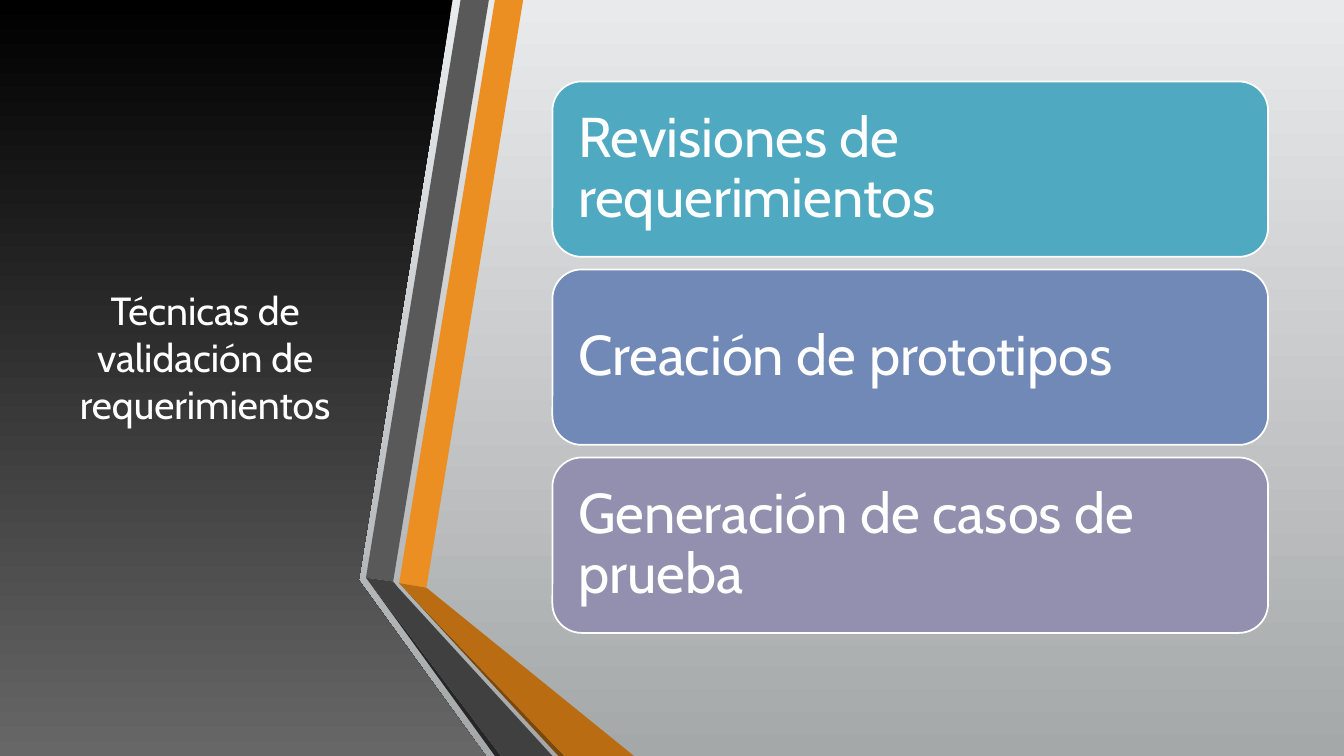
from pptx import Presentation
from pptx.dml.color import RGBColor
from pptx.enum.shapes import MSO_SHAPE as Shape
from pptx.enum.text import MSO_ANCHOR as Anchor, MSO_AUTO_SIZE as AutoSize, PP_ALIGN as Align
from pptx.util import Pt

WIDTH, HEIGHT = 960, 540


def color(hex_string):
    return RGBColor.from_string(hex_string)


def fill_gradient(fill, top, bottom):
    fill.gradient()
    fill.gradient_angle = 270
    for stop, shade in zip(fill.gradient_stops, (top, bottom)):
        stop.color.rgb = color(shade)


class SlideBuilder:
    font = "Cabin"
    text_color = "FFFFFF"

    def __init__(self, slide):
        self.slide = slide

    def background(self, top, bottom):
        fill_gradient(self.slide.background.fill, top, bottom)

    def polygon(self, points, fill=None):
        corners = [(Pt(x), Pt(y)) for x, y in points]
        outline = self.slide.shapes.build_freeform(*corners[0])
        outline.add_line_segments(corners[1:], close=True)
        shape = outline.convert_to_shape()
        shape.shadow.inherit = False
        shape.line.fill.background()
        if fill:
            shape.fill.solid()
            shape.fill.fore_color.rgb = color(fill)
        return shape

    def set_text(self, shape, text, size, align):
        frame = shape.text_frame
        frame.text = text
        frame.word_wrap = True
        frame.auto_size = AutoSize.NONE
        frame.vertical_anchor = Anchor.MIDDLE
        paragraph = frame.paragraphs[0]
        paragraph.alignment = align
        font = paragraph.runs[0].font
        font.name, font.size = self.font, Pt(size)
        font.color.rgb = color(self.text_color)
        return frame

    def title(self, text, left, top, width, height):
        title = self.slide.shapes.title
        title.left, title.top = Pt(left), Pt(top)
        title.width, title.height = Pt(width), Pt(height)
        self.set_text(title, text, 28, Align.CENTER)
        # Bring the title in front of the panel
        title.element.getparent().append(title.element)

    def card(self, text, fill, left, top, width, height):
        shape = self.slide.shapes.add_shape(
            Shape.ROUNDED_RECTANGLE, Pt(left), Pt(top), Pt(width), Pt(height))
        shape.shadow.inherit = False
        shape.fill.solid()
        shape.fill.fore_color.rgb = color(fill)
        shape.line.color.rgb = color("FFFFFF")
        shape.line.width = Pt(1.25)
        frame = self.set_text(shape, text, 40, Align.LEFT)
        frame.margin_left = frame.margin_right = Pt(12.25)
        frame.margin_top = frame.margin_bottom = Pt(12.25)
        frame.paragraphs[0].line_spacing = 0.9


presentation = Presentation()
presentation.slide_width, presentation.slide_height = Pt(WIDTH), Pt(HEIGHT)
builder = SlideBuilder(presentation.slides.add_slide(presentation.slide_layouts[5]))
builder.background("E9EAEB", "A5A8A9")

# Dark panel with the title
panel = builder.polygon([(0, 0), (323.3, 0), (256.3, 414.5), (347, HEIGHT), (0, HEIGHT)])
fill_gradient(panel.fill, "000000", "676767")
builder.title("Técnicas de validación de requerimientos", 42.5, 54, 208, 401.8)

# Folded ribbons, with the corners they share
gray_fold, gray_inner = (261.4, 412.6), (280.8, 415.4)
orange_fold, orange_inner = (285.1, 416.5), (304.6, 419.8)
gray_foot, orange_foot = (357.8, HEIGHT), (403.2, HEIGHT)
RIBBONS = [
    ("EB8F22", [orange_fold, orange_inner, (373.7, 0), (353.5, 0)]),
    ("595959", [(349.2, 0), (329, 0), gray_fold, gray_inner]),
    ("262626", [gray_fold, (353.5, HEIGHT), gray_foot]),
    ("7B480B", [orange_fold, (398.9, HEIGHT), orange_foot]),
    ("B96C11", [orange_fold, orange_foot, (452.9, HEIGHT), orange_inner]),
    ("404040", [(394.6, HEIGHT), (284.4, 419.8), gray_inner, gray_fold, gray_foot]),
]
for fill, points in RIBBONS:
    builder.polygon(points, fill)

# Technique cards
CARDS = [
    ("Revisiones de requerimientos", "4FA9C1"),
    ("Creación de prototipos", "7189B6"),
    ("Generación de casos de prueba", "9390AF"),
]
CARD_TOP, CARD_HEIGHT, CARD_GAP = 58.2, 125.3, 9
for index, (text, fill) in enumerate(CARDS):
    top = CARD_TOP + index * (CARD_HEIGHT + CARD_GAP)
    builder.card(text, fill, 394.6, top, 511.2, CARD_HEIGHT)

presentation.save("out.pptx")
